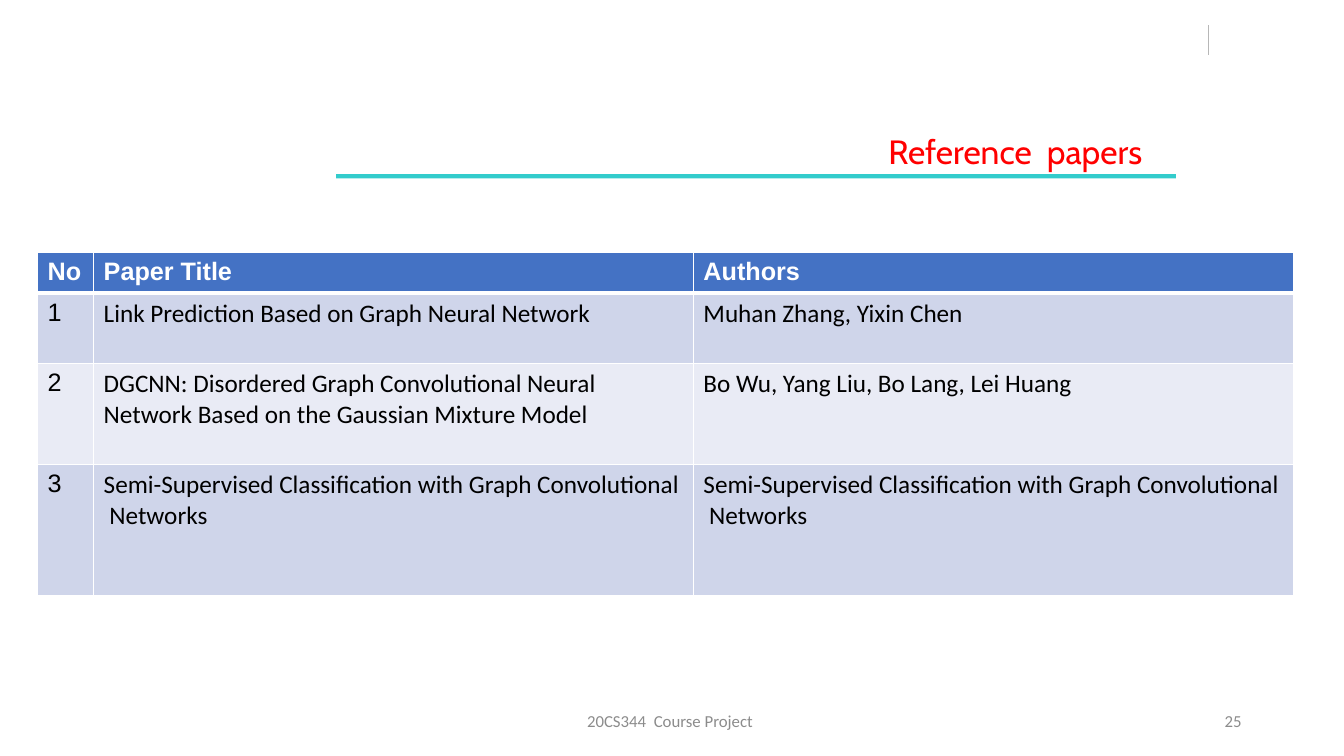
"""Build the reference papers slide."""
import pptx
import pptx.dml.color
import pptx.enum.shapes
import pptx.enum.text
import pptx.oxml
import pptx.oxml.ns
import pptx.util

Pt = pptx.util.Pt
RGBColor = pptx.dml.color.RGBColor
PP_ALIGN = pptx.enum.text.PP_ALIGN
ANCHOR = pptx.enum.text.MSO_ANCHOR

WHITE = RGBColor(0xFF, 0xFF, 0xFF)
BLACK = RGBColor(0, 0, 0)
RED = RGBColor(0xFF, 0, 0)
TEAL = RGBColor(0x33, 0xCC, 0xCC)
GRAY = RGBColor(0x8C, 0x8C, 0x8C)
LIGHT_GRAY = RGBColor(0xB7, 0xB7, 0xB7)
HEADER_BLUE = RGBColor(0x44, 0x72, 0xC4)
BANDS = [RGBColor(0xE9, 0xEB, 0xF5), RGBColor(0xCF, 0xD5, 0xEA)]

TITLE = "Reference  papers"
PAPERS = [
    ("No", "Paper Title", "Authors"),
    ("1", "Link Prediction Based on Graph Neural Network", "Muhan Zhang, Yixin Chen"),
    ("2", "DGCNN: Disordered Graph Convolutional Neural  Network Based on the "
          "Gaussian Mixture Model", "Bo Wu, Yang Liu, Bo Lang, Lei Huang"),
    ("3", "Semi-Supervised Classification with Graph Convolutional  Networks",
     "Semi-Supervised Classification with Graph Convolutional  Networks"),
]
COLUMN_WIDTHS = [40, 428.4, 428.4]
ROW_HEIGHTS = [29.2, 50.4, 72, 93.6]
TABLE_ORIGIN = (26.9, 180.3)
TITLE_BOX = (228, 90, 612, 36)
TITLE_BAR = (240, 124.4, 600, 3)
CORNER_LINE = (863.3, 18, 863.3, 39.6)
FOOTERS = [
    ("20CS344  Course Project ", (318, 500.4, 324, 28.8), PP_ALIGN.CENTER),
    ("25", (678, 500.4, 216, 28.8), PP_ALIGN.RIGHT),
]


def points(values):
    return [Pt(value) for value in values]


def apply(target, formats):
    for name, value in formats.items():
        setattr(target, name, value)


def write(text_frame, text, font, color, size, bold=False, align=PP_ALIGN.LEFT):
    paragraph = text_frame.paragraphs[0]
    paragraph.alignment = align
    run = paragraph.add_run()
    run.text = text
    apply(run.font, {"name": font, "size": Pt(size), "bold": bold})
    run.font.color.rgb = color


def add_borders(cell, widths):
    properties = cell._tc.get_or_add_tcPr()
    for side, width in widths.items():
        properties.append(pptx.oxml.parse_xml(
            f'<a:ln{side} {pptx.oxml.ns.nsdecls("a")} w="{Pt(width)}"><a:solidFill>'
            f'<a:srgbClr val="{WHITE}"/></a:solidFill></a:ln{side}>'))


def add_title(slide):
    bar = slide.shapes.add_shape(
        pptx.enum.shapes.MSO_SHAPE.RECTANGLE, *points(TITLE_BAR))
    bar.shadow.inherit = False
    bar.fill.solid()
    bar.fill.fore_color.rgb = TEAL
    bar.line.fill.background()

    title = slide.shapes.title
    apply(title, dict(zip(("left", "top", "width", "height"), points(TITLE_BOX))))
    apply(title.text_frame, {
        "vertical_anchor": ANCHOR.TOP, "margin_right": Pt(24), "word_wrap": True,
        "auto_size": pptx.enum.text.MSO_AUTO_SIZE.NONE})
    write(title.text_frame, TITLE, "Cabin", RED, 24, align=PP_ALIGN.RIGHT)


def add_corner_line(slide):
    line = slide.shapes.add_connector(
        pptx.enum.shapes.MSO_CONNECTOR.STRAIGHT, *points(CORNER_LINE))
    line.line.color.rgb = LIGHT_GRAY
    line.line.width = Pt(0.75)
    line._element.spPr.append(
        pptx.oxml.parse_xml(f'<a:effectLst {pptx.oxml.ns.nsdecls("a")}/>'))


def add_papers(slide):
    table = slide.shapes.add_table(
        len(PAPERS), len(COLUMN_WIDTHS), *points(TABLE_ORIGIN),
        Pt(sum(COLUMN_WIDTHS)), Pt(sum(ROW_HEIGHTS))).table
    for column, width in zip(table.columns, COLUMN_WIDTHS):
        column.width = Pt(width)
    for row_index, (row, height) in enumerate(zip(table.rows, ROW_HEIGHTS)):
        row.height = Pt(height)
        header = row_index == 0
        borders = {"L": 1, "R": 1, "T": 3 if row_index == 1 else 1,
                   "B": 3 if header else 1}
        for column_index, (cell, text) in enumerate(zip(row.cells, PAPERS[row_index])):
            add_borders(cell, borders)
            cell.fill.solid()
            cell.fill.fore_color.rgb = HEADER_BLUE if header else BANDS[row_index % 2]
            font = "Arial" if header or column_index == 0 else "Calibri"
            write(cell.text_frame, text, font, WHITE if header else BLACK, 18, header)


def add_footers(slide):
    for text, box, align in FOOTERS:
        text_frame = slide.shapes.add_textbox(*points(box)).text_frame
        apply(text_frame, {"word_wrap": True, "vertical_anchor": ANCHOR.MIDDLE})
        write(text_frame, text, "Calibri", GRAY, 12, align=align)


def main():
    presentation = pptx.Presentation()
    apply(presentation, {"slide_width": Pt(960), "slide_height": Pt(540)})
    slide = presentation.slides.add_slide(presentation.slide_layouts[5])
    add_corner_line(slide)
    add_title(slide)
    add_papers(slide)
    add_footers(slide)
    presentation.save("out.pptx")


if __name__ == "__main__":
    main()
